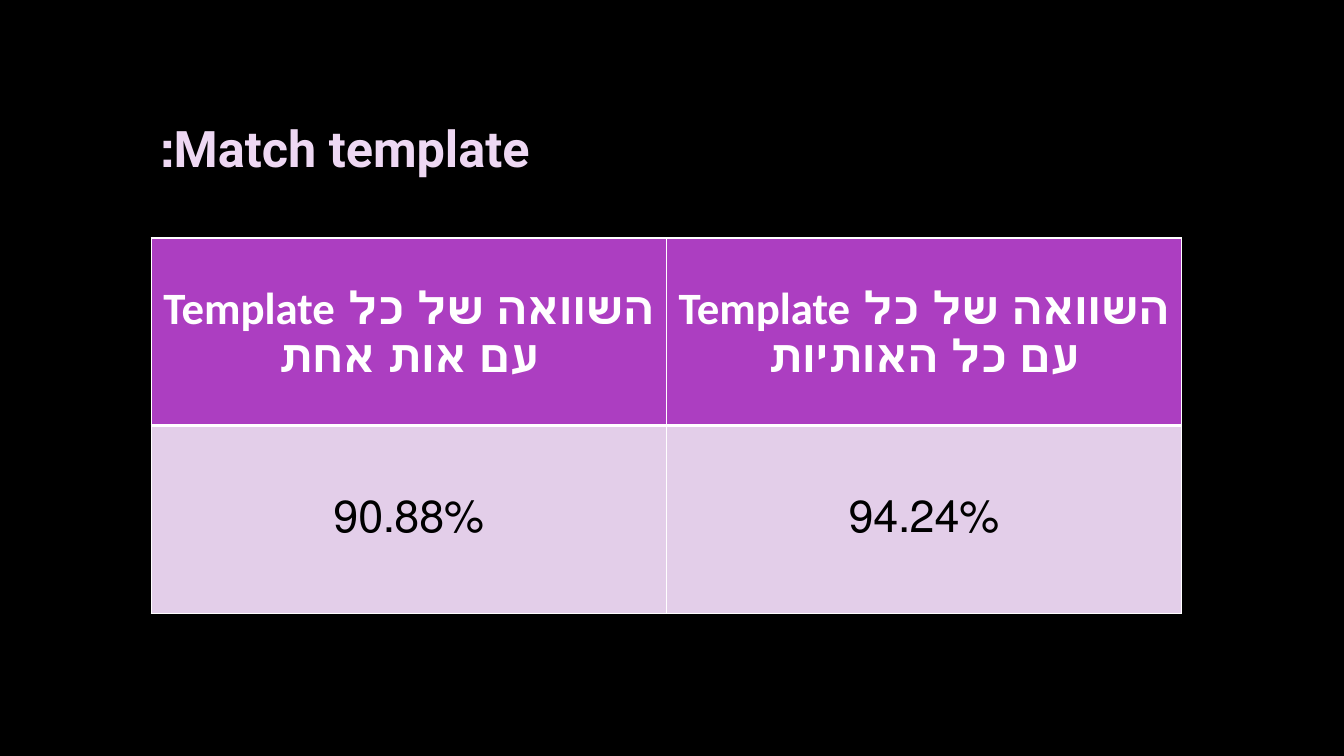
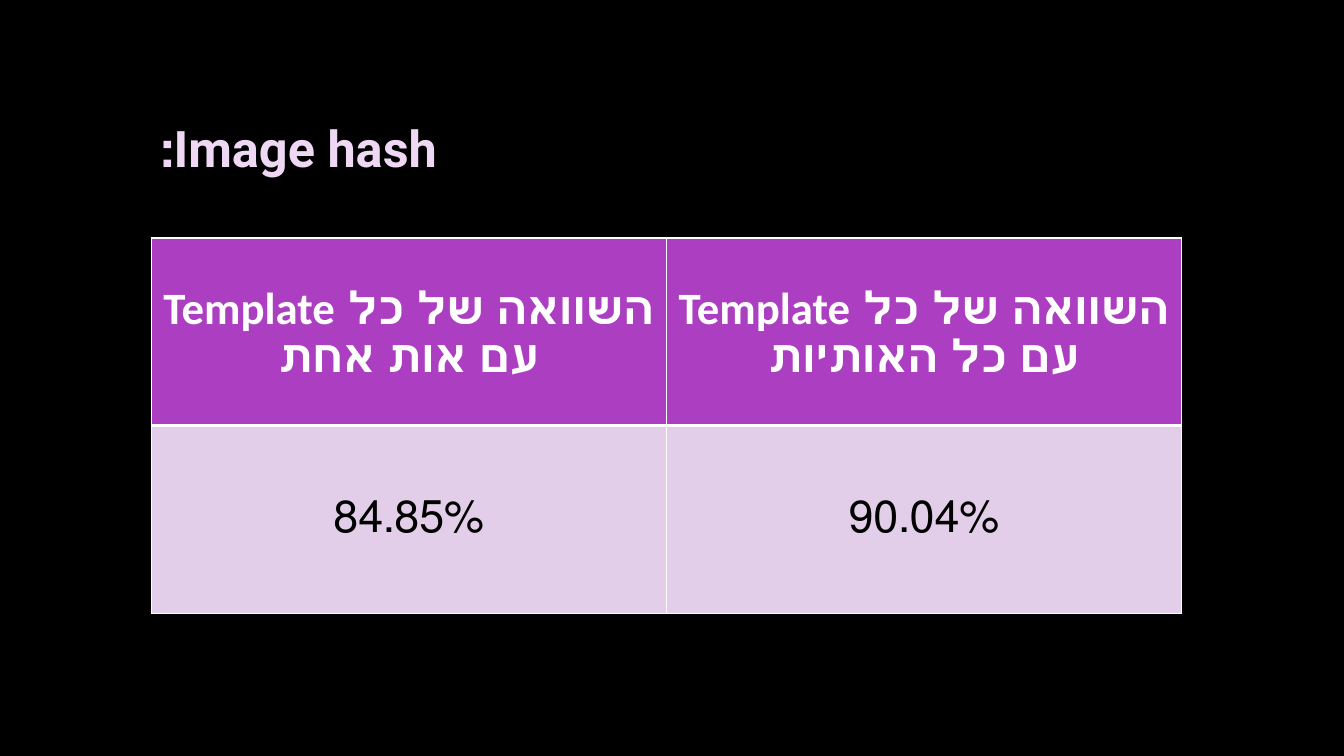
from lxml import etree
from pptx import Presentation
from pptx.dml.color import RGBColor
from pptx.enum.text import MSO_ANCHOR as ANCHOR, PP_ALIGN as ALIGN
from pptx.oxml.ns import qn
from pptx.util import Pt

HEADERS = ["השוואה של כל Template עם אות אחת", "השוואה של כל Template עם כל האותיות"]
RESULTS = [
    ("Match template:", ["90.88%", "94.24%"]),
    ("Image hash:", ["84.85%", "90.04%"]),
]


def rgb(color):
    return RGBColor.from_string(color)


def write(tf, text, font="Calibri", size=32, color="000000", bold=False, align=ALIGN.CENTER):
    p = tf.paragraphs[0]
    p.alignment = align
    p._p.get_or_add_pPr().set("rtl", "1")
    r = p.add_run()
    r.text = text
    r.font.name, r.font.size, r.font.bold = font, Pt(size), bold
    r.font.color.rgb = rgb(color)


class Deck:
    """Dark right-to-left deck with purple result tables."""

    BACK, PALE, PURPLE, LILAC, WHITE = "000000", "EED8F3", "AC3EC1", "E3CEE9", "FFFFFF"
    LEFT = 108

    def __init__(self):
        self.prs = Presentation()
        self.prs.slide_width, self.prs.slide_height = Pt(960), Pt(540)

    def slide(self):
        self.s = self.prs.slides.add_slide(self.prs.slide_layouts[6])
        fill = self.s.background.fill
        fill.solid()
        fill.fore_color.rgb = rgb(self.BACK)

    def title(self, text):
        sp = self.s.shapes.add_textbox(Pt(self.LEFT), Pt(48.25), Pt(798), Pt(114.5))
        tf = sp.text_frame
        tf.word_wrap = True
        tf.vertical_anchor = ANCHOR.MIDDLE
        write(tf, text, font="Roboto", size=36, color=self.PALE, bold=True, align=ALIGN.LEFT)

    def border(self, cell, side, width):
        ln = etree.SubElement(cell._tc.get_or_add_tcPr(), qn(f"a:ln{side}"), w=str(Pt(width)))
        fill = etree.SubElement(ln, qn("a:solidFill"))
        etree.SubElement(fill, qn("a:srgbClr"), val=self.WHITE)

    def cell(self, cell, text, fill, header):
        cell.vertical_anchor = ANCHOR.MIDDLE
        for side in "LRTB":
            thick = side == ("B" if header else "T")
            self.border(cell, side, 3 if thick else 1)
        cell.fill.solid()
        cell.fill.fore_color.rgb = rgb(fill)
        write(cell.text_frame, text, color=self.WHITE if header else self.BACK, bold=header)

    def table(self, rows):
        frame = self.s.shapes.add_table(
            len(rows), len(rows[0]), Pt(self.LEFT), Pt(170), Pt(736), Pt(268))
        for i, row in enumerate(rows):
            for j, text in enumerate(row):
                fill = self.LILAC if i else self.PURPLE
                self.cell(frame.table.cell(i, j), text, fill, header=i == 0)


def main():
    deck = Deck()
    for title, values in RESULTS:
        deck.slide()
        deck.title(title)
        deck.table([HEADERS, values])
    deck.prs.save("out.pptx")


if __name__ == "__main__":
    main()
